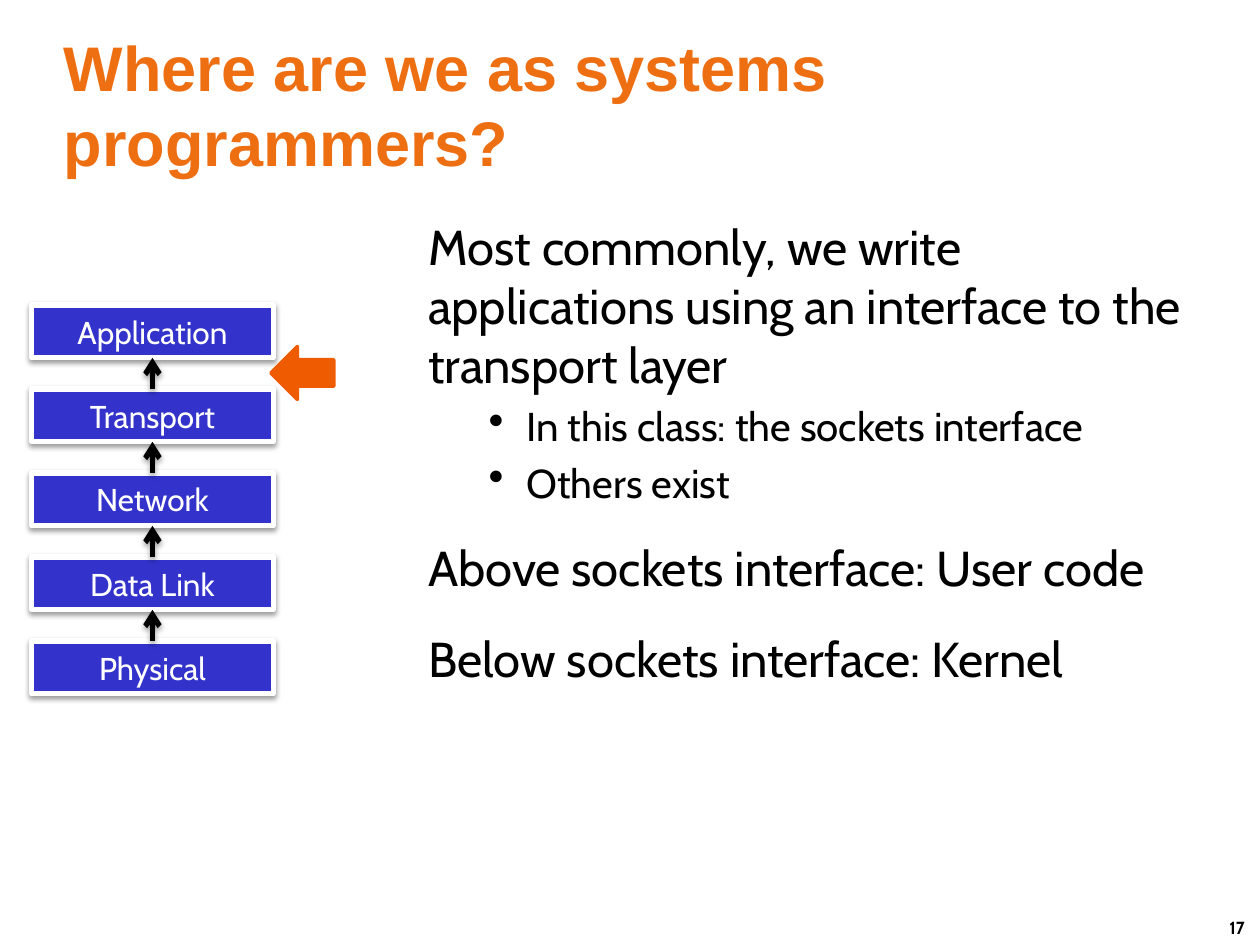
from dataclasses import dataclass

from lxml import etree
from pptx import Presentation
from pptx import util as u
from pptx.dml.color import RGBColor
from pptx.enum import shapes, text
from pptx.oxml.ns import qn


@dataclass(frozen=True)
class Theme:
    title_font: str = "Arial"
    body_font: str = "Cabin"
    title: str = "EE6E12"
    ink: str = "000000"
    paper: str = "FFFFFF"
    layer: str = "3333CC"
    pointer: str = "EF5B00"
    title_size: float = 36
    body_size: float = 28
    bullet_size: float = 23
    layer_size: float = 18
    number_size: float = 10


def add_xml(parent, tag, **attrs):
    return etree.SubElement(parent, qn(tag), {k: str(v) for k, v in attrs.items()})


class SlideBuilder:
    def __init__(self, slide, theme):
        self.s = slide
        self.theme = theme

    def style(self, p, size, color, font=None, bold=False):
        p.font.name = font or self.theme.body_font
        p.font.size = u.Pt(size)
        p.font.bold = bold
        p.font.color.rgb = RGBColor.from_string(color)

    def outline(self, sp, color, width):
        sp.line.color.rgb = RGBColor.from_string(color)
        sp.line.width = u.Pt(width)

    def shadow(self, sp, opacity, distance):
        effects = add_xml(sp._element.spPr, "a:effectLst")
        shade = add_xml(effects, "a:outerShdw", blurRad=u.Pt(3.1), dist=u.Pt(distance),
                        dir=90 * 60000, algn="ctr", rotWithShape=0)
        color = add_xml(shade, "a:srgbClr", val=self.theme.ink)
        add_xml(color, "a:alpha", val=opacity * 1000)

    def text_box(self, box, wrap=True, anchor=text.MSO_ANCHOR.TOP):
        tf = self.s.shapes.add_textbox(*map(u.Inches, box)).text_frame
        tf.word_wrap = wrap
        tf.vertical_anchor = anchor
        return tf

    def line_of_text(self, words, box, size, color, font=None, **frame):
        p = self.text_box(box, **frame).paragraphs[0]
        p.text = words
        self.style(p, size, color, font, bold=True)

    def body(self, items, box):
        tf = self.text_box(box)
        for i, (level, words) in enumerate(items):
            p = tf.add_paragraph() if i else tf.paragraphs[0]
            p.text = words
            p.level = level
            p.space_before = u.Pt(4.8 if level else 18)
            size = self.theme.bullet_size if level else self.theme.body_size
            self.style(p, size, self.theme.ink)
            if level:
                self.bullet(p)

    def bullet(self, p):
        pPr = p._p.get_or_add_pPr()
        pPr.set("marL", str(u.Inches(0.78)))
        pPr.set("indent", str(u.Inches(-0.3)))
        mark = etree.Element(qn("a:buChar"), char="•")
        size = etree.Element(qn("a:buSzPct"), val="110000")
        pPr.find(qn("a:defRPr")).addprevious(size)
        size.addnext(mark)

    def shape(self, kind, box, fill, line, width):
        sp = self.s.shapes.add_shape(kind, *map(u.Inches, box))
        sp.fill.solid()
        sp.fill.fore_color.rgb = RGBColor.from_string(fill)
        self.outline(sp, line, width)
        return sp

    def layer(self, name, box):
        t = self.theme
        sp = self.shape(shapes.MSO_SHAPE.RECTANGLE, box, t.layer, t.paper, 3)
        self.shadow(sp, 38, 1.6)
        tf = sp.text_frame
        tf.vertical_anchor = text.MSO_ANCHOR.MIDDLE
        p = tf.paragraphs[0]
        p.text = name
        p.alignment = text.PP_ALIGN.CENTER
        self.style(p, t.layer_size, t.paper)

    def up_arrow(self, x, start, end):
        cx = self.s.shapes.add_connector(
            shapes.MSO_CONNECTOR.STRAIGHT, *map(u.Inches, (x, start, x, end)))
        self.outline(cx, self.theme.ink, 3)
        add_xml(cx.line._get_or_add_ln(), "a:tailEnd", type="arrow")
        self.shadow(cx, 35, 1.8)

    def pointer(self, box):
        color = self.theme.pointer
        sp = self.shape(shapes.MSO_SHAPE.RIGHT_ARROW, box, color, color, 2)
        sp.rotation = 180
        sp.shadow.inherit = False


LAYERS = ["Application", "Transport", "Network", "Data Link", "Physical"]
LEFT, TOP, WIDTH, HEIGHT = 0.25, 2.42, 1.92, 0.42
PITCH = 2 / 3

BODY = [
    (0, "Most commonly, we write applications using an interface to the transport layer"),
    (1, "In this class: the sockets interface"),
    (1, "Others exist"),
    (0, "Above sockets interface: User code"),
    (0, "Below sockets interface: Kernel"),
]


def main():
    prs = Presentation()
    prs.slide_width, prs.slide_height = u.Inches(10), u.Inches(7.5)
    t = Theme()
    b = SlideBuilder(prs.slides.add_slide(prs.slide_layouts[6]), t)

    # Page number, title and body
    b.line_of_text("17", (9.66, 7.23, 0.37, 0.27), t.number_size, t.ink, wrap=False)
    b.line_of_text("Where are we as systems programmers?", (0.41, 0.41, 9.17, 0.83),
                   t.title_size, t.title, t.title_font, anchor=text.MSO_ANCHOR.MIDDLE)
    b.body(BODY, (3.3, 1.67, 6.28, 5.42))

    # Network stack, with an arrow from each layer to the one above
    tops = [TOP + i * PITCH for i in range(len(LAYERS))]
    for name, top in zip(LAYERS, tops):
        b.layer(name, (LEFT, top, WIDTH, HEIGHT))
    for upper, lower in zip(tops, tops[1:]):
        b.up_arrow(LEFT + WIDTH / 2, lower, upper + HEIGHT)

    # Pointer to the sockets interface
    b.pointer((2.15, 2.75, 0.5, 0.42))

    prs.save("out.pptx")


if __name__ == "__main__":
    main()
